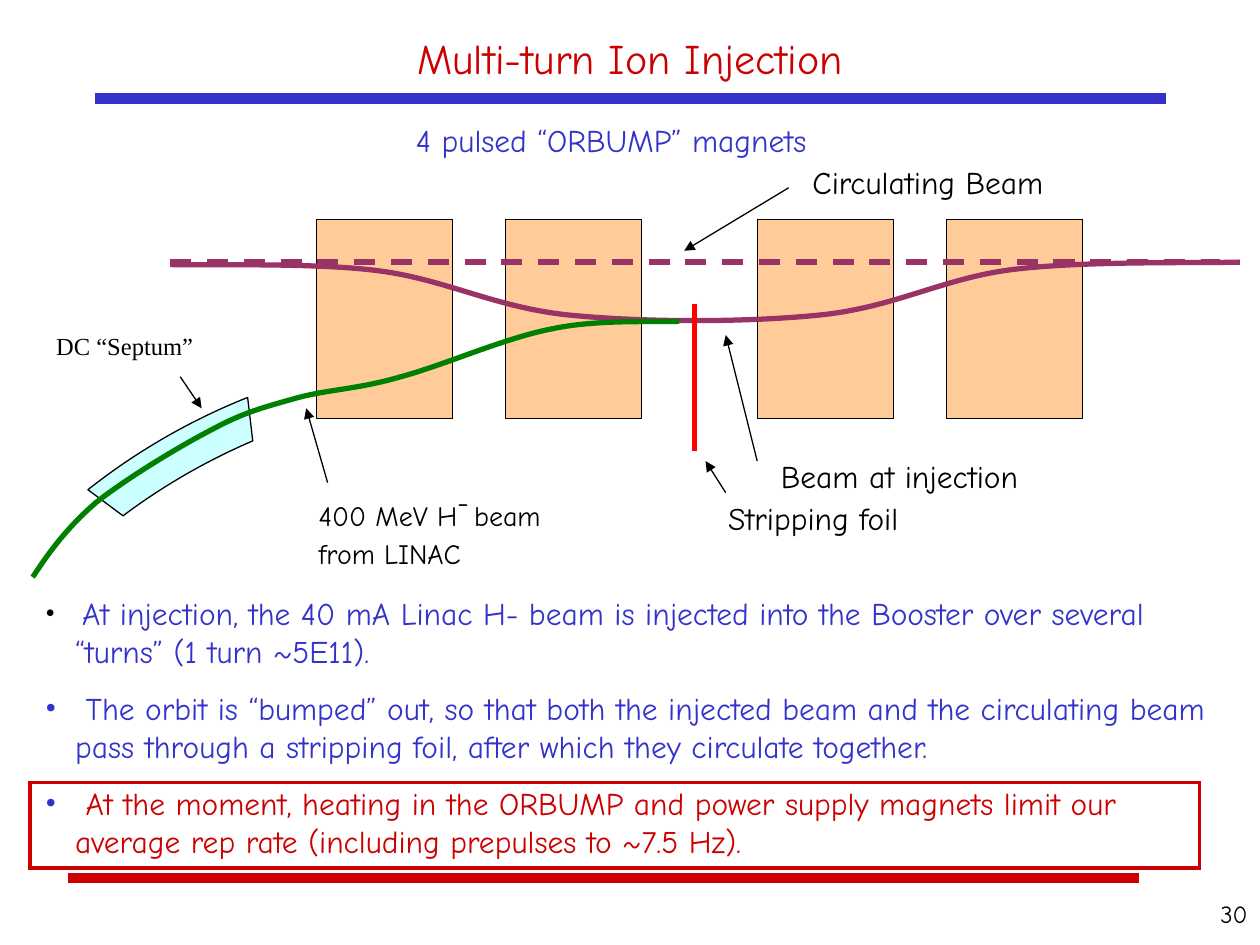
import pptx
import pptx.util
import pptx.dml.color
import pptx.enum.dml
import pptx.enum.shapes
import pptx.enum.text
import pptx.oxml
import pptx.oxml.ns
import lxml.etree

Pt = pptx.util.Pt
RGBColor = pptx.dml.color.RGBColor
MSO_SHAPE = pptx.enum.shapes.MSO_SHAPE
PP_ALIGN = pptx.enum.text.PP_ALIGN
qn = pptx.oxml.ns.qn

BLACK = RGBColor(0x00, 0x00, 0x00)
RED = RGBColor(0xCC, 0x00, 0x00)
BLUE = RGBColor(0x33, 0x33, 0xCC)
PURPLE = RGBColor(0x99, 0x33, 0x66)
GREEN = RGBColor(0x00, 0x80, 0x00)
FOIL_RED = RGBColor(0xFF, 0x00, 0x00)
MAGNET_ORANGE = RGBColor(0xFF, 0xCC, 0x99)
SEPTUM_CYAN = RGBColor(0xCC, 0xFF, 0xFF)
COMIC = "Comic Neue"
TIMES = "Times New Roman"


def add_run(paragraph, text, size, color, font_name=COMIC):
    run = paragraph.add_run()
    run.text = text
    run.font.size = Pt(size)
    run.font.name = font_name
    run.font.color.rgb = color
    return run


def add_line(x1, y1, x2, y2, color, width):
    """Add a straight connector without the theme's shadow."""
    line = slide.shapes.add_connector(
        pptx.enum.shapes.MSO_CONNECTOR.STRAIGHT, Pt(x1), Pt(y1), Pt(x2), Pt(y2))
    line.line.color.rgb = color
    line.line.width = Pt(width)
    lxml.etree.SubElement(line._element.spPr, qn("a:effectLst"))
    return line


presentation = pptx.Presentation()
presentation.slide_width = Pt(720)
presentation.slide_height = Pt(540)
slide = presentation.slides.add_slide(presentation.slide_layouts[1])

# Title and its rules
title = slide.shapes.title
title.left, title.top, title.width, title.height = Pt(54), Pt(12.2), Pt(612), Pt(41.8)
title.text_frame.auto_size = pptx.enum.text.MSO_AUTO_SIZE.NONE
title.text_frame.vertical_anchor = pptx.enum.text.MSO_ANCHOR.MIDDLE
title.text_frame.paragraphs[0].alignment = PP_ALIGN.CENTER
add_run(title.text_frame.paragraphs[0], "Multi-turn Ion Injection", 24, RED)
add_line(54, 56.2, 666, 56.2, BLUE, 6)
add_line(38.9, 501.8, 650.9, 501.8, RED, 6)

# Septum and magnets
septum = slide.shapes.add_shape(
    MSO_SHAPE.BLOCK_ARC, Pt(-59), Pt(233.3), Pt(432), Pt(252))
septum.rotation = 330
for index, value in enumerate((148, 176, 0.096)):
    septum.adjustments[index] = value
septum.fill.solid()
septum.fill.fore_color.rgb = SEPTUM_CYAN

magnets = []
for left in (180.7, 288.7, 432.7, 540.7):
    magnet = slide.shapes.add_shape(
        MSO_SHAPE.RECTANGLE, Pt(left), Pt(125.3), Pt(78), Pt(114))
    magnet.fill.solid()
    magnet.fill.fore_color.rgb = MAGNET_ORANGE
    magnets.append(magnet)

for shape in [septum] + magnets:
    shape.line.color.rgb = BLACK
    shape.line.width = Pt(0.75)
    shape.shadow.inherit = False

# Beam paths: a start point, then two control points and an end per Bezier segment
bumped_orbit = [
    (97.2, 151.2),
    (116.6, 151.9), (178.6, 149.8), (216.7, 154.8),
    (254.9, 159.8), (283, 175.7), (324.7, 180),
    (367.2, 184.3), (427, 184.3), (468.7, 180),
    (511.2, 175.7), (538.6, 159.1), (578.2, 154.1),
    (618.5, 149), (681.8, 150.5), (708.5, 149.8),
]
injected_beam = [
    (388.1, 183.6),
    (375.8, 184.3), (342, 182.2), (315.4, 187.9),
    (288.7, 193), (253.4, 208.8), (229, 215.3),
    (204.5, 222.5), (187.2, 222.5), (169.2, 227.5),
    (151.2, 232.6), (139.7, 235.4), (121, 245.5),
    (101.5, 255.6), (72, 273.6), (54.7, 287.3),
    (38.2, 301.7), (28.1, 315.4), (18.7, 329.8),
]
for knots, color in ((bumped_orbit, PURPLE), (injected_beam, GREEN)):
    points = [(Pt(x), Pt(y)) for x, y in knots]
    builder = slide.shapes.build_freeform(*points[0])
    builder.add_line_segments(points[1:], close=False)
    beam = builder.convert_to_shape()
    # Every three straight segments become one cubic Bezier segment
    segments = list(beam._element.iter(qn("a:lnTo")))
    for start in range(0, len(segments), 3):
        curve = lxml.etree.Element(qn("a:cubicBezTo"))
        segments[start].addprevious(curve)
        for segment in segments[start:start + 3]:
            curve.append(segment[0])
            segment.getparent().remove(segment)
    beam.fill.background()
    beam.line.color.rgb = color
    beam.line.width = Pt(3)
    beam.shadow.inherit = False

add_line(396.7, 173.5, 396.7, 257.8, FOIL_RED, 3)
circulating_beam = add_line(97.2, 149.8, 697, 149.8, PURPLE, 3)
circulating_beam.line.dash_style = pptx.enum.dml.MSO_LINE.DASH

# Labels and the arrows from them
labels = [
    ("Circulating Beam", 457.2, 89.6, 167.8, 28.8, 18, BLACK, COMIC),
    ("Beam at injection", 439.2, 257.8, 192.2, 28.8, 18, BLACK, COMIC),
    ("DC “Septum”", 25, 185.8, 96, 24.5, 14, BLACK, TIMES),
    ("Stripping foil", 409, 281.5, 192.2, 28.8, 18, BLACK, COMIC),
    ("4 pulsed “ORBUMP” magnets", 230.6, 65.5, 267.1, 28.8, 18, BLUE, COMIC),
    ("400 MeV H", 175, 269.6, 169.9, 60.5, 16, BLACK, COMIC),
    ("30", 653.8, 510, 66.2, 30, 14, BLACK, COMIC),
]
for text, left, top, width, height, size, color, font_name in labels:
    label = slide.shapes.add_textbox(Pt(left), Pt(top), Pt(width), Pt(height))
    label.text_frame.word_wrap = True
    paragraph = label.text_frame.paragraphs[0]
    add_run(paragraph, text, size, color, font_name)
    if text == "400 MeV H":
        for raised_text, raised_size in (("-", 28), (" ", 16)):
            raised = add_run(paragraph, raised_text, raised_size, BLACK)
            raised._r.get_or_add_rPr().set("baseline", "30000")
        add_run(paragraph, "beam from LINAC", 16, BLACK)
    elif text == "30":
        paragraph.alignment = PP_ALIGN.RIGHT

for ends in ((450.7, 107.3, 391, 143.3), (432.7, 263.5, 414.7, 191.5),
             (187.2, 275.8, 175, 233.3), (103, 215.3, 115.2, 233.3),
             (414.7, 281.5, 403.2, 263.5)):
    arrow = add_line(*ends, BLACK, 0.75)
    lxml.etree.SubElement(
        arrow._element.spPr.find(qn("a:ln")), qn("a:tailEnd"), type="triangle")

# Bulleted list and the frame round its last item
body = slide.placeholders[1]
body.left, body.top, body.width, body.height = Pt(18.7), Pt(335.8), Pt(684), Pt(159.8)
body.text_frame.auto_size = pptx.enum.text.MSO_AUTO_SIZE.NONE
bullets = [
    ("At injection, the 40 mA Linac H- beam is injected into the Booster over several "
     "“turns” (1 turn ~5E11).", BLUE, BLACK, 16, TIMES),
    ("The orbit is “bumped” out, so that both the injected beam and the circulating beam "
     "pass through a stripping foil, after which they circulate together.",
     BLUE, BLUE, 18, COMIC),
    ("At the moment, heating in the ORBUMP and power supply magnets limit our "
     "average rep rate (including prepulses to ~7.5 Hz).", RED, BLUE, 18, COMIC),
]
for index, (text, color, bullet_color, space_size, space_font) in enumerate(bullets):
    frame = body.text_frame
    paragraph = frame.add_paragraph() if index else frame.paragraphs[0]
    paragraph.space_before = Pt(11.2 if index else 0)
    properties = paragraph._p.get_or_add_pPr()
    properties.set("marL", str(Pt(17)))
    properties.set("indent", str(-Pt(17)))
    bullet_fill = lxml.etree.SubElement(properties, qn("a:buClr"))
    lxml.etree.SubElement(bullet_fill, qn("a:srgbClr"), val=str(bullet_color))
    lxml.etree.SubElement(properties, qn("a:buFont"), typeface=TIMES)
    lxml.etree.SubElement(properties, qn("a:buChar"), char="•")
    add_run(paragraph, " ", space_size, bullet_color, space_font)
    add_run(paragraph, text, 18, color)

frame_box = slide.shapes.add_shape(
    MSO_SHAPE.RECTANGLE, Pt(17.3), Pt(447.1), Pt(668.2), Pt(49))
frame_box.fill.background()
frame_box.line.color.rgb = RED
frame_box.line.width = Pt(2)
lxml.etree.SubElement(
    frame_box._element.spPr.find(qn("a:ln")), qn("a:miter"), lim="800000")
frame_box.shadow.inherit = False

presentation.save("out.pptx")
